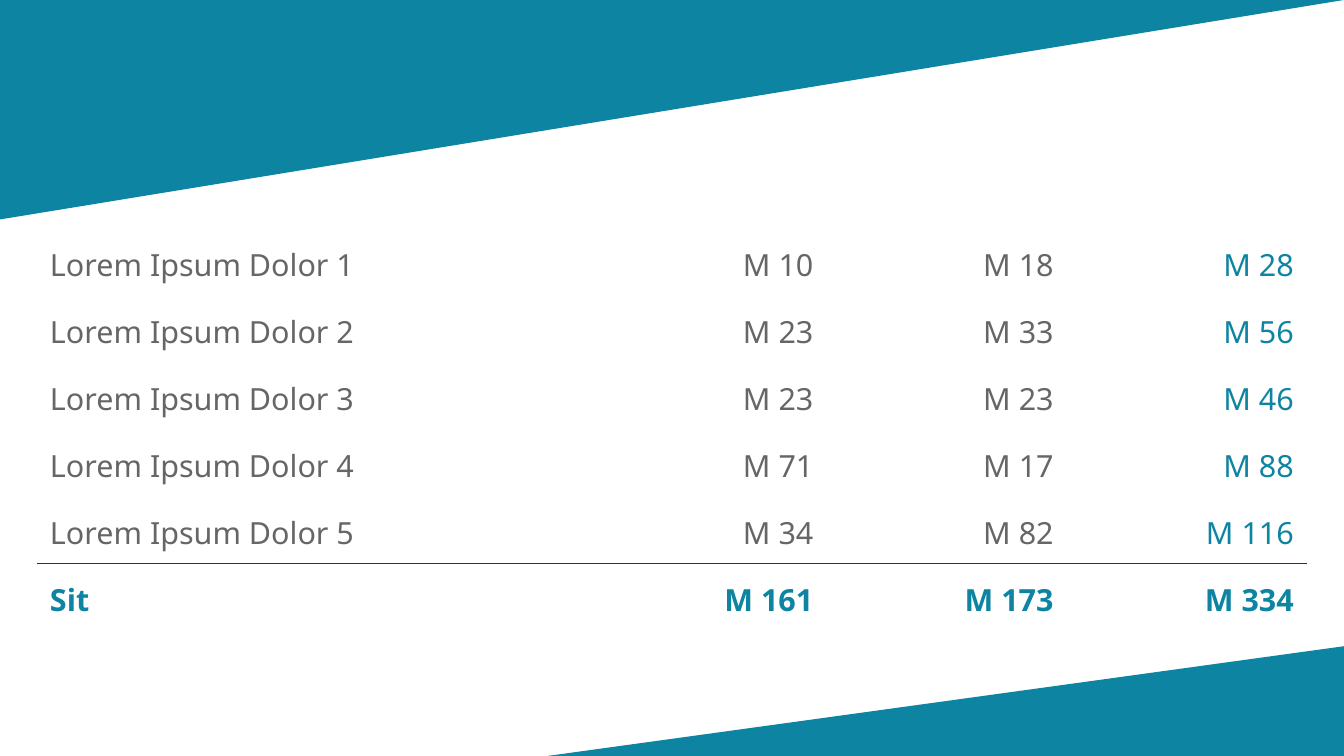
from dataclasses import dataclass

from lxml.etree import SubElement
from pptx import Presentation
from pptx.dml.color import RGBColor
from pptx.enum.text import MSO_ANCHOR as Anchor, PP_ALIGN as Align
from pptx.oxml import parse_xml
from pptx.oxml.ns import nsdecls, qn
from pptx.slide import Slide
from pptx.table import Table, _Cell as Cell
from pptx.util import Emu, Inches, Pt

WIDTH, HEIGHT = 11.02, 6.2
TEAL, GRAY, DARK, WHITE = "0D84A1", "666666", "333333", "FFFFFF"
FONT = "Noto Sans"
RULE_WIDTH = Pt(0.06)
COLUMN_WIDTHS = (4.49, 1.97, 1.97, 1.97)
ROW_HEIGHT = 0.55


@dataclass
class Wedge:
    corners: list[tuple[float, float]]


@dataclass
class Item:
    label: str
    first: int
    second: int
    is_total: bool = False

    def texts(self) -> list[str]:
        amounts = (self.first, self.second, self.first + self.second)
        return [self.label] + [f"M {amount}" for amount in amounts]


WEDGES = [
    Wedge([(0, 1.8), (0, 0), (WIDTH, 0)]),
    Wedge([(4.49, HEIGHT), (WIDTH, HEIGHT), (WIDTH, 5.3)]),
]
AMOUNTS = [(10, 18), (23, 33), (23, 23), (71, 17), (34, 82)]
ITEMS = [
    Item(f"Lorem Ipsum Dolor {number}", *pair)
    for number, pair in enumerate(AMOUNTS, start=1)
]
TOTAL = Item("Sit", *(sum(column) for column in zip(*AMOUNTS)), is_total=True)


def color(value: str) -> RGBColor:
    return RGBColor.from_string(value)


def draw_wedge(page: Slide, wedge: Wedge) -> None:
    points = [(Inches(x), Inches(y)) for x, y in wedge.corners]
    builder = page.shapes.build_freeform(*points[0])
    builder.add_line_segments(points[1:], close=True)
    shape = builder.convert_to_shape()
    shape.shadow.inherit = False
    shape.fill.solid()
    shape.fill.fore_color.rgb = color(TEAL)
    shape.line.fill.background()


def add_border(cell: Cell, side: str) -> None:
    """Draw a thin dark rule on one side; borders must precede the fill."""
    border = parse_xml(f'<a:{side} {nsdecls("a")} w="{RULE_WIDTH}"/>')
    fill = SubElement(border, qn("a:solidFill"))
    SubElement(fill, qn("a:srgbClr"), val=DARK)
    cell._tc.get_or_add_tcPr().insert(0, border)


def fill_cell(cell: Cell, text: str, column: int, is_total: bool) -> None:
    cell.fill.solid()
    cell.fill.fore_color.rgb = color(WHITE)
    cell.vertical_anchor = Anchor.MIDDLE
    cell.margin_left = cell.margin_right = Inches(0.1)
    cell.margin_top = cell.margin_bottom = Inches(0.05)
    para = cell.text_frame.paragraphs[0]
    para.text = text
    para.alignment = Align.RIGHT if column else Align.LEFT
    para.line_spacing = 1.15
    last_column = column == len(COLUMN_WIDTHS) - 1
    for span in para.runs:
        span.font.name = FONT
        span.font.size = Pt(18)
        span.font.bold = is_total
        span.font.color.rgb = color(TEAL if is_total or last_column else GRAY)


def draw_table(page: Slide, items: list[Item]) -> Table:
    frame = page.shapes.add_table(
        len(items), len(COLUMN_WIDTHS), Inches(0.31), Inches(1.87),
        Inches(sum(COLUMN_WIDTHS)), Inches(ROW_HEIGHT * len(items)),
    )
    table = frame.table
    table.first_row = table.horz_banding = False
    for column, width in zip(table.columns, COLUMN_WIDTHS):
        column.width = Inches(width)
    for row, item in zip(table.rows, items):
        row.height = Inches(ROW_HEIGHT)
        for index, (cell, text) in enumerate(zip(row.cells, item.texts())):
            fill_cell(cell, text, index, item.is_total)
    return table


def main() -> None:
    deck = Presentation()
    deck.slide_width, deck.slide_height = Inches(WIDTH), Inches(HEIGHT)
    page = deck.slides.add_slide(deck.slide_layouts[6])

    # Slanted bands at the top and bottom
    for wedge in WEDGES:
        draw_wedge(page, wedge)

    # Amounts, with a rule above the total
    table = draw_table(page, ITEMS + [TOTAL])
    for column in range(len(COLUMN_WIDTHS)):
        add_border(table.cell(len(ITEMS) - 1, column), "lnB")
        add_border(table.cell(len(ITEMS), column), "lnT")

    deck.save("out.pptx")


if __name__ == "__main__":
    main()
